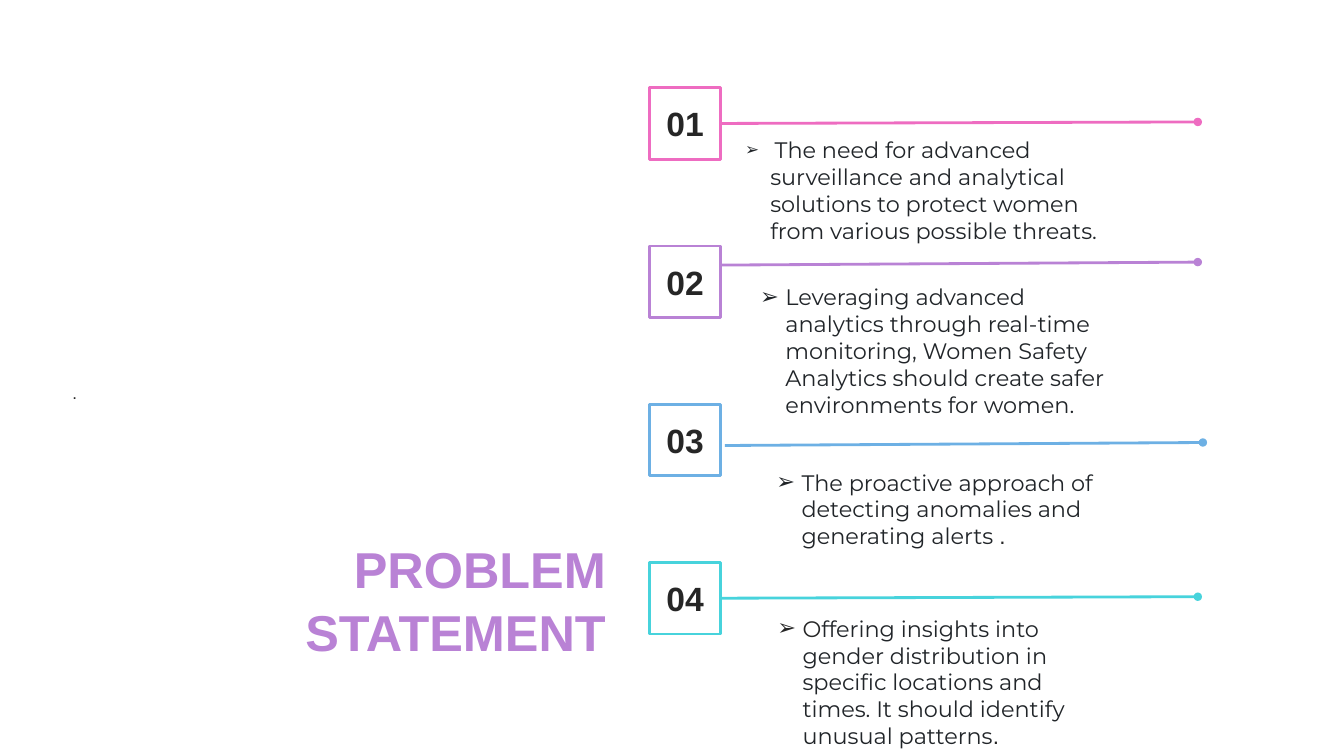
from lxml.etree import SubElement
from pptx import Presentation
from pptx.dml.color import RGBColor
from pptx.enum.shapes import MSO_CONNECTOR, MSO_SHAPE
from pptx.enum.text import MSO_ANCHOR, MSO_AUTO_SIZE, PP_ALIGN
from pptx.oxml.ns import qn
from pptx.util import Inches, Pt

TITLE = "PROBLEM STATEMENT"
DARK, BODY = "262626", "212529"
BOX_LEFT, BOX_TOP, BOX_SIZE, BOX_STEP = 6.44, 0.87, 0.71, 1.57
LINE_RISE = 0.03

ITEMS = [
    {"color": "EE6CC1", "line": (7.15, 1.24, 11.88), "joined": True,
     "text_at": (7.29, 1.3, 4.05, 0.91), "indent": 0.25,
     "runs": [(" ", 12, "Montserrat", BODY),
              ("The need for advanced surveillance and analytical solutions to protect "
               "women from various possible threats.", 16, "Montserrat", BODY)]},
    {"color": "B982D5", "line": (7.14, 2.63, 11.88), "joined": False,
     "text_at": (6.94, 2.76, 4.29, 1.45), "indent": 0.75,
     "runs": [("Leveraging advanced analytics through real-time monitoring, Women Safety "
               "Analytics should create safer environments for women.", 16, "Montserrat", BODY)]},
    {"color": "6DB0E4", "line": (7.19, 4.42, 11.93), "joined": False,
     "text_at": (7.6, 4.6, 3.41, 0.91), "indent": 0.25,
     "runs": [("The proactive approach of detecting anomalies and generating alerts ",
               16, "Montserrat", BODY),
              (".", 16, "Arial", DARK)]},
    {"color": "47D3DC", "line": (7.15, 5.95, 11.88), "joined": True,
     "text_at": (7.61, 6.05, 3.41, 1.18), "indent": 0.25,
     "runs": [("O", 16, "Montserrat", DARK),
              ("ffering insights into gender distribution in specific locations and times. "
               "It should identify unusual patterns", 16, "Montserrat", BODY),
              (".", 16, "Arial", DARK)]},
]


def rgb(value):
    return RGBColor.from_string(value)


def place(shape, left, top, width, height):
    shape.left, shape.top = Inches(left), Inches(top)
    shape.width, shape.height = Inches(width), Inches(height)


def add_span(para, text, size, font, color, bold=False):
    span = para.add_run()
    span.text = text
    span.font.size = Pt(size)
    span.font.name = font
    span.font.bold = bold
    span.font.color.rgb = rgb(color)


def set_frame(frame, anchor):
    frame.word_wrap = True
    frame.auto_size = MSO_AUTO_SIZE.NONE
    frame.vertical_anchor = anchor


def add_bullet(para, indent):
    properties = para._p.get_or_add_pPr()
    properties.set("marL", str(Inches(indent)))
    properties.set("indent", str(Inches(-0.25)))
    SubElement(properties, qn("a:buFont"), typeface="Arial")
    SubElement(properties, qn("a:buChar"), char="➢")


def add_number_box(page, index, color):
    box = page.shapes.add_shape(
        MSO_SHAPE.RECTANGLE, Inches(BOX_LEFT), Inches(BOX_TOP + index * BOX_STEP),
        Inches(BOX_SIZE), Inches(BOX_SIZE))
    box.shadow.inherit = False
    box.fill.solid()
    box.fill.fore_color.rgb = rgb("FFFFFF")
    box.line.color.rgb = rgb(color)
    box.line.width = Pt(2)
    set_frame(box.text_frame, MSO_ANCHOR.MIDDLE)
    para = box.text_frame.paragraphs[0]
    para.alignment = PP_ALIGN.CENTER
    add_span(para, f"{index + 1:02d}", 24, "Arial", DARK, True)
    return box


def add_line(page, box, item):
    left, top, right = item["line"]
    line = page.shapes.add_connector(
        MSO_CONNECTOR.STRAIGHT, Inches(left), Inches(top),
        Inches(right), Inches(top - LINE_RISE))
    if item["joined"]:
        line.begin_connect(box, 3)
    line.line.color.rgb = rgb(item["color"])
    line.line.width = Pt(2)
    SubElement(line.line._get_or_add_ln(), qn("a:tailEnd"), type="oval")
    SubElement(line._element.spPr, qn("a:effectLst"))


def fill_item_text(holder, item):
    place(holder, *item["text_at"])
    set_frame(holder.text_frame, MSO_ANCHOR.TOP)
    para = holder.text_frame.paragraphs[0]
    para.alignment = PP_ALIGN.LEFT
    para.line_spacing = 1.0
    para.space_before = Pt(0)
    add_bullet(para, item["indent"])
    for run in item["runs"]:
        add_span(para, *run)


def main():
    deck = Presentation()
    deck.slide_width, deck.slide_height = Inches(13.33), Inches(7.5)
    page = deck.slides.add_slide(deck.slide_layouts.get_by_name("Comparison"))

    title = page.shapes.title
    place(title, 1.95, 5.28, 4.16, 1.31)
    set_frame(title.text_frame, MSO_ANCHOR.MIDDLE)
    para = title.text_frame.paragraphs[0]
    para.alignment = PP_ALIGN.RIGHT
    para.line_spacing = 1.05
    add_span(para, TITLE, 36, "Arial", "B982D5", True)

    dot = page.shapes.add_textbox(Inches(0.62), Inches(3.75), Inches(3.41), Inches(0.3))
    set_frame(dot.text_frame, MSO_ANCHOR.TOP)
    add_span(dot.text_frame.paragraphs[0], ".", 12, "Arial", DARK)

    holders = [holder for holder in page.placeholders if holder.placeholder_format.idx > 0]
    for index, (item, holder) in enumerate(zip(ITEMS, holders)):
        fill_item_text(holder, item)
        box = add_number_box(page, index, item["color"])
        add_line(page, box, item)

    deck.save("out.pptx")


if __name__ == "__main__":
    main()
